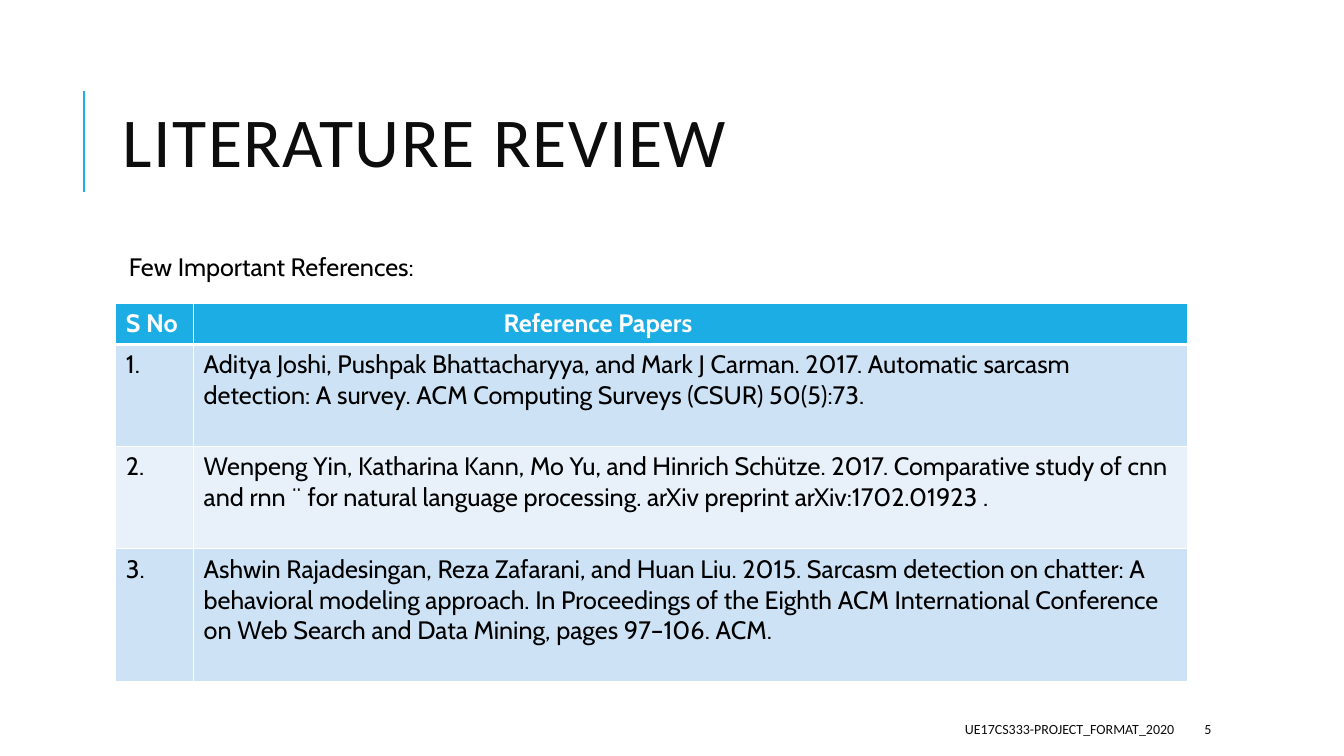
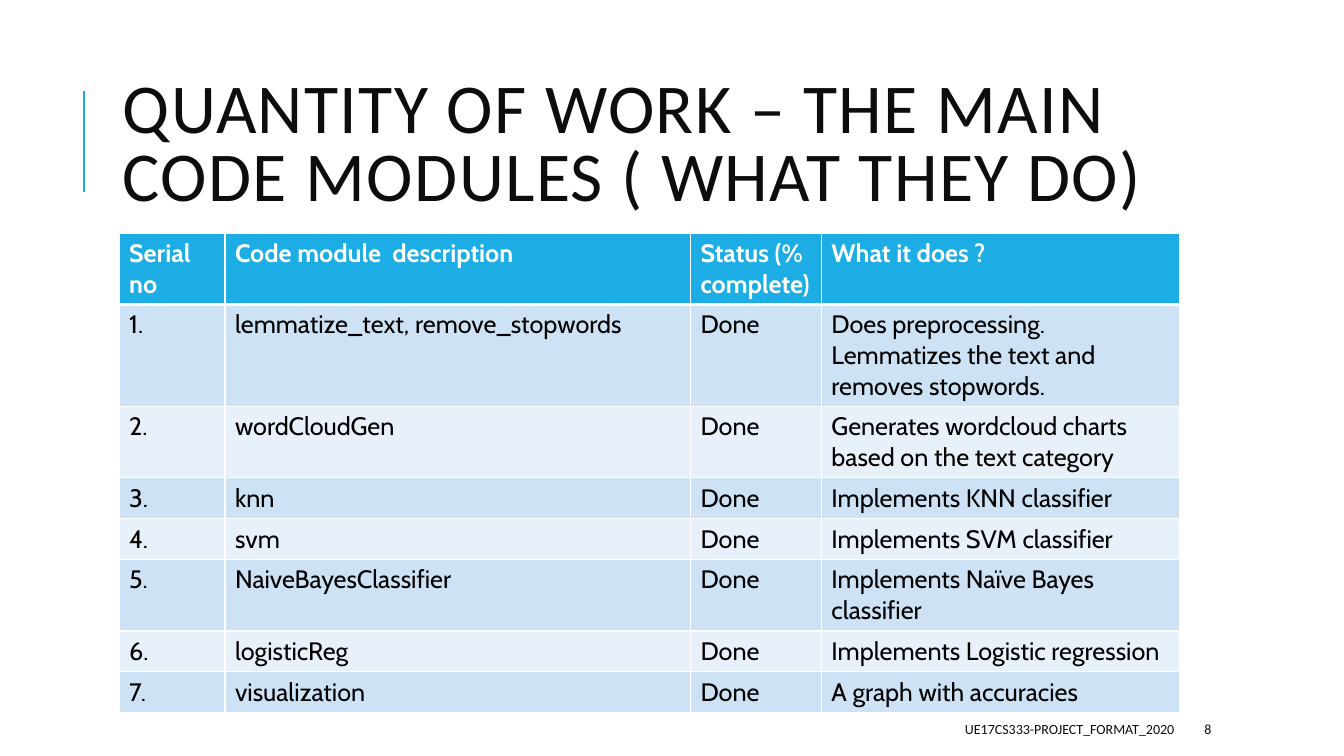
from dataclasses import dataclass

from lxml.etree import SubElement
from pptx import Presentation
from pptx.dml.color import RGBColor
from pptx.enum.shapes import MSO_CONNECTOR
from pptx.enum.text import MSO_ANCHOR, MSO_AUTO_SIZE, PP_ALIGN
from pptx.oxml.ns import qn
from pptx.util import Cm, Pt


@dataclass(frozen=True)
class Theme:
    accent: str = "1CADE4"
    band_dark: str = "CDE3F5"
    band_light: str = "E8F1FA"
    white: str = "FFFFFF"
    black: str = "000000"
    ink: str = "0D0D0D"
    heading_font: str = "Calibri"
    body_font: str = "Cabin"
    title_size: int = 50
    body_size: int = 18
    footer_size: int = 10


theme = Theme()


def write(frame, text, font=theme.body_font, size=theme.body_size, color=theme.black,
          bold=False, align=PP_ALIGN.LEFT, anchor=MSO_ANCHOR.TOP, line_spacing=None, tracking=None):
    frame.word_wrap = True
    frame.vertical_anchor = anchor
    for index, line in enumerate(text.split("\n")):
        para = frame.add_paragraph() if index else frame.paragraphs[0]
        para.alignment = align
        para.line_spacing = line_spacing
        span = para.add_run()
        span.text = line
        span.font.name = font
        span.font.size = Pt(size)
        span.font.bold = bold
        span.font.color.rgb = RGBColor.from_string(color)
        if tracking:
            span.font._element.set("spc", str(tracking * 100))


def add_border(cell, side, points):
    line = SubElement(cell._tc.get_or_add_tcPr(), qn(f"a:ln{side}"), w=str(Pt(points)))
    fill = SubElement(line, qn("a:solidFill"))
    SubElement(fill, qn("a:srgbClr"), val=theme.white)


pages = [
    {
        "title": "LITERATURE REVIEW",
        "title_width": 27,
        "number": "5",
        "intro": "Few Important References:",
        "origin": (2.92, 7.65),
        "columns": (1.96, 25.04),
        "heights": (1.03, 2.57, 2.58, 3.35),
        "header_indents": {1: 7.81},
        "rows": [
            ("S No", "Reference Papers"),
            ("1.", "Aditya Joshi, Pushpak Bhattacharyya, and Mark J Carman. 2017. Automatic sarcasm "
                   "detection: A survey. ACM Computing Surveys (CSUR) 50(5):73."),
            ("2.", "Wenpeng Yin, Katharina Kann, Mo Yu, and Hinrich Schütze. 2017. Comparative study "
                   "of cnn and rnn ¨ for natural language processing. arXiv preprint arXiv:1702.01923 ."),
            ("3.", "Ashwin Rajadesingan, Reza Zafarani, and Huan Liu. 2015. Sarcasm detection on "
                   "chatter: A behavioral modeling approach. In Proceedings of the Eighth ACM "
                   "International Conference on Web Search and Data Mining, pages 97–106. ACM."),
        ],
    },
    {
        "title": "QUANTITY OF WORK – THE MAIN CODE MODULES ( WHAT THEY DO)",
        "title_width": 27.66,
        "number": "8",
        "intro": None,
        "origin": (3, 5.87),
        "columns": (2.67, 11.73, 3.3, 9.02),
        "heights": (1.8, 2.57, 1.8, 1.03, 1.03, 1.8, 1.03, 1.03),
        "header_indents": {},
        "rows": [
            ("Serial no", "Code module  description", "Status (% complete)", "What it does ?"),
            ("1.", "lemmatize_text, remove_stopwords", "Done",
             "Does preprocessing.\nLemmatizes the text and removes stopwords."),
            ("2.", "wordCloudGen", "Done", "Generates wordcloud charts based on the text category"),
            ("3.", "knn", "Done", "Implements KNN classifier"),
            ("4.", "svm", "Done", "Implements SVM classifier"),
            ("5.", "NaiveBayesClassifier", "Done", "Implements Naïve Bayes classifier"),
            ("6.", "logisticReg", "Done", "Implements Logistic regression"),
            ("7.", "visualization", "Done", "A graph with accuracies"),
        ],
    },
]

deck = Presentation()
deck.slide_width = Cm(33.87)
deck.slide_height = Cm(19.05)
layout = deck.slide_layouts[5]

for page_index, page in enumerate(pages):
    slide = deck.slides.add_slide(layout)

    if page_index == 0:
        rule = slide.shapes.add_connector(MSO_CONNECTOR.STRAIGHT, Cm(2.11), Cm(4.83), Cm(2.11), Cm(2.29))
        rule.line.color.rgb = RGBColor.from_string(theme.accent)
        rule.line.width = Pt(1.5)
        SubElement(rule.element.spPr, qn("a:effectLst"))
        layout.shapes.element.append(rule.element)

    title = slide.shapes.title
    title.left, title.top = Cm(2.84), Cm(1.63)
    title.width, title.height = Cm(page["title_width"]), Cm(4.17)
    title.text_frame.auto_size = MSO_AUTO_SIZE.NONE
    write(title.text_frame, page["title"], font=theme.heading_font, size=theme.title_size,
          color=theme.ink, anchor=MSO_ANCHOR.MIDDLE, line_spacing=0.8, tracking=1)

    footers = [
        ("UE17CS333-PROJECT_FORMAT_2020", 13.46, 16.38, PP_ALIGN.RIGHT),
        (page["number"], 30.1, 2.69, PP_ALIGN.LEFT),
    ]
    for text, left, width, align in footers:
        box = slide.shapes.add_textbox(Cm(left), Cm(17.98), Cm(width), Cm(0.76))
        write(box.text_frame, text, font=theme.heading_font, size=theme.footer_size,
              color=theme.ink, align=align, anchor=MSO_ANCHOR.MIDDLE)

    if page["intro"]:
        box = slide.shapes.add_textbox(Cm(3), Cm(6.22), Cm(8.23), Cm(1.02))
        write(box.text_frame, page["intro"])

    left, top = page["origin"]
    columns, heights, rows = page["columns"], page["heights"], page["rows"]
    table = slide.shapes.add_table(len(rows), len(columns), Cm(left), Cm(top),
                                   Cm(sum(columns)), Cm(sum(heights))).table
    for column, width in zip(table.columns, columns):
        column.width = Cm(width)
    for row_index, (row, height, texts) in enumerate(zip(table.rows, heights, rows)):
        row.height = Cm(height)
        header = row_index == 0
        band = theme.accent if header else theme.band_dark if row_index % 2 else theme.band_light
        for column_index, (cell, text) in enumerate(zip(row.cells, texts)):
            write(cell.text_frame, text, color=theme.white if header else theme.black, bold=header)
            if header and column_index in page["header_indents"]:
                cell.margin_left = Cm(page["header_indents"][column_index])
            for side, points in (("L", 1), ("R", 1), ("T", 3 if row_index == 1 else 1), ("B", 3 if header else 1)):
                add_border(cell, side, points)
            cell.fill.solid()
            cell.fill.fore_color.rgb = RGBColor.from_string(band)

deck.save("out.pptx")
